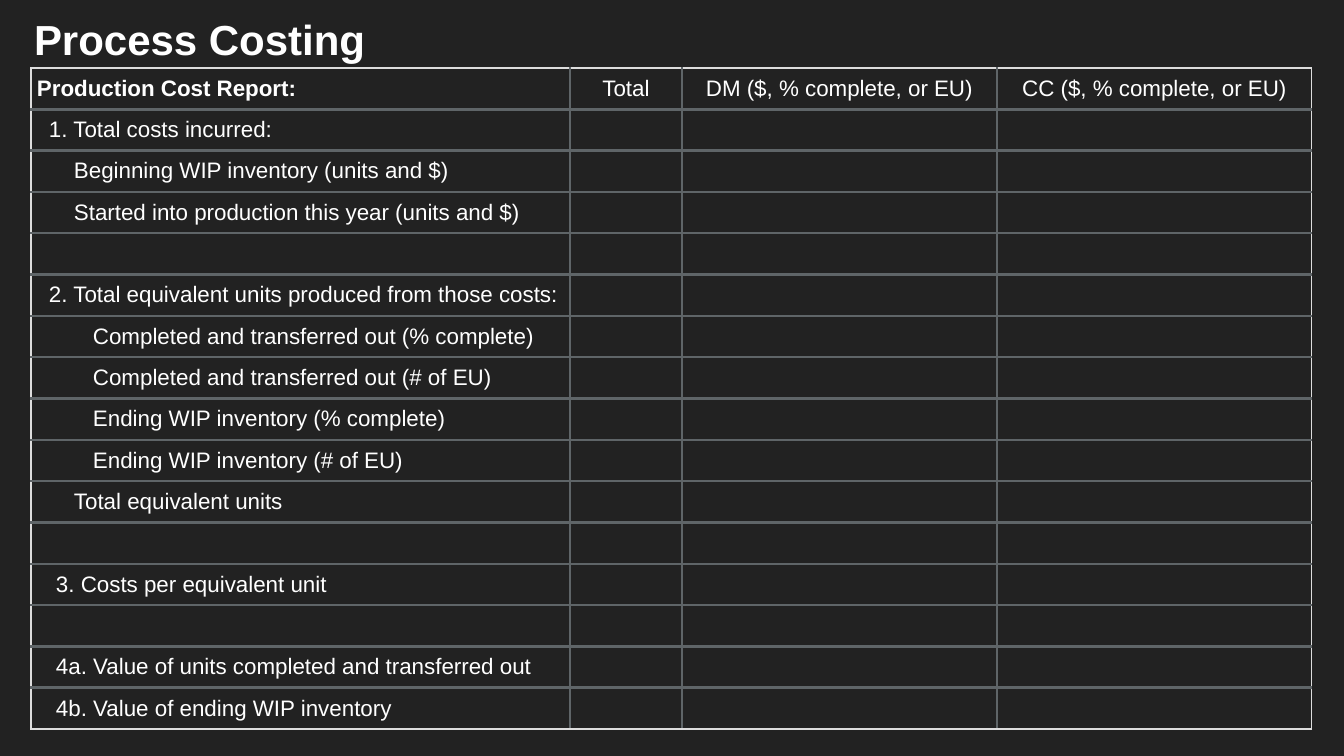
"""Build the Process Costing slide with its blank production cost report."""
from lxml.etree import SubElement
from pptx import Presentation
from pptx.dml.color import RGBColor
from pptx.enum.text import MSO_ANCHOR, MSO_AUTO_SIZE, PP_ALIGN
from pptx.oxml.ns import qn
from pptx.util import Emu, Pt

PX = 12192000 / 1344
WHITE, GREY, PALE, DARK = "FFFFFF", "5F6568", "DDDDDD", "222222"
HEADERS = ["Production Cost Report:", "Total", "DM ($, % complete, or EU)", "CC ($, % complete, or EU)"]
LINES = [
    (12, "1. Total costs incurred:"),
    (37, "Beginning WIP inventory (units and $)"),
    (37, "Started into production this year (units and $)"),
    (0, ""),
    (12, "2. Total equivalent units produced from those costs:"),
    (56, "Completed and transferred out (% complete)"),
    (56, "Completed and transferred out (# of EU)"),
    (56, "Ending WIP inventory (% complete)"),
    (56, "Ending WIP inventory (# of EU)"),
    (37, "Total equivalent units"),
    (0, ""),
    (19, "3. Costs per equivalent unit"),
    (0, ""),
    (19, "4a. Value of units completed and transferred out"),
    (19, "4b. Value of ending WIP inventory"),
]
COL_WIDTHS = [539, 112, 315, 315]


def px(n):
    return Emu(round(n * PX))


def style(p, size, bold):
    p.font.name = "Arial"
    p.font.size = Pt(size)
    p.font.bold = bold
    p.font.color.rgb = RGBColor.from_string(WHITE)


prs = Presentation()
prs.slide_width, prs.slide_height = px(1344), px(756)
s = prs.slides.add_slide(prs.slide_layouts[5])
s.background.fill.solid()
s.background.fill.fore_color.rgb = RGBColor.from_string(DARK)

title = s.shapes.title
title.left, title.top, title.width, title.height = px(28), px(9), px(344), px(60)
tf = title.text_frame
tf.text = "Process Costing"
tf.word_wrap = False
tf.auto_size = MSO_AUTO_SIZE.NONE
tf.vertical_anchor = MSO_ANCHOR.MIDDLE
tf.margin_left = tf.margin_right = tf.margin_top = tf.margin_bottom = px(6)
tf.paragraphs[0].alignment = PP_ALIGN.LEFT
style(tf.paragraphs[0], 30, True)

rows, cols = len(LINES) + 1, len(COL_WIDTHS)
table = s.shapes.add_table(rows, cols, px(31), px(68), px(sum(COL_WIDTHS)), px(661)).table
table.horz_banding = False
table.first_row = False
for column, width in zip(table.columns, COL_WIDTHS):
    column.width = px(width)

for r in range(rows):
    for c in range(cols):
        cell = table.cell(r, c)
        cell.vertical_anchor = MSO_ANCHOR.MIDDLE
        cell.margin_left = cell.margin_right = cell.margin_top = cell.margin_bottom = px(6)
        indent, text = 0, ""
        if r == 0:
            text = HEADERS[c]
        elif c == 0:
            indent, text = LINES[r - 1]
        cell.text_frame.text = text
        p = cell.text_frame.paragraphs[0]
        if indent:
            p_pr = p._p.get_or_add_pPr()
            p_pr.set("marL", str(px(indent)))
            p_pr.set("indent", "0")
        p.alignment = PP_ALIGN.CENTER if c else PP_ALIGN.LEFT
        style(p, 16, r == 0 and c == 0)
        for run in p.runs:
            style(run, 16, r == 0 and c == 0)

        tc_pr = cell._tc.get_or_add_tcPr()
        outer = {"L": c == 0, "R": c == cols - 1, "T": r == 0, "B": r == rows - 1}
        for side, is_outer in outer.items():
            ln = SubElement(tc_pr, qn(f"a:ln{side}"), w=str(Pt(1 if is_outer else 2)))
            fill = SubElement(ln, qn("a:solidFill"))
            SubElement(fill, qn("a:srgbClr"), val=PALE if is_outer else GREY)
        cell.fill.background()

prs.save("out.pptx")
